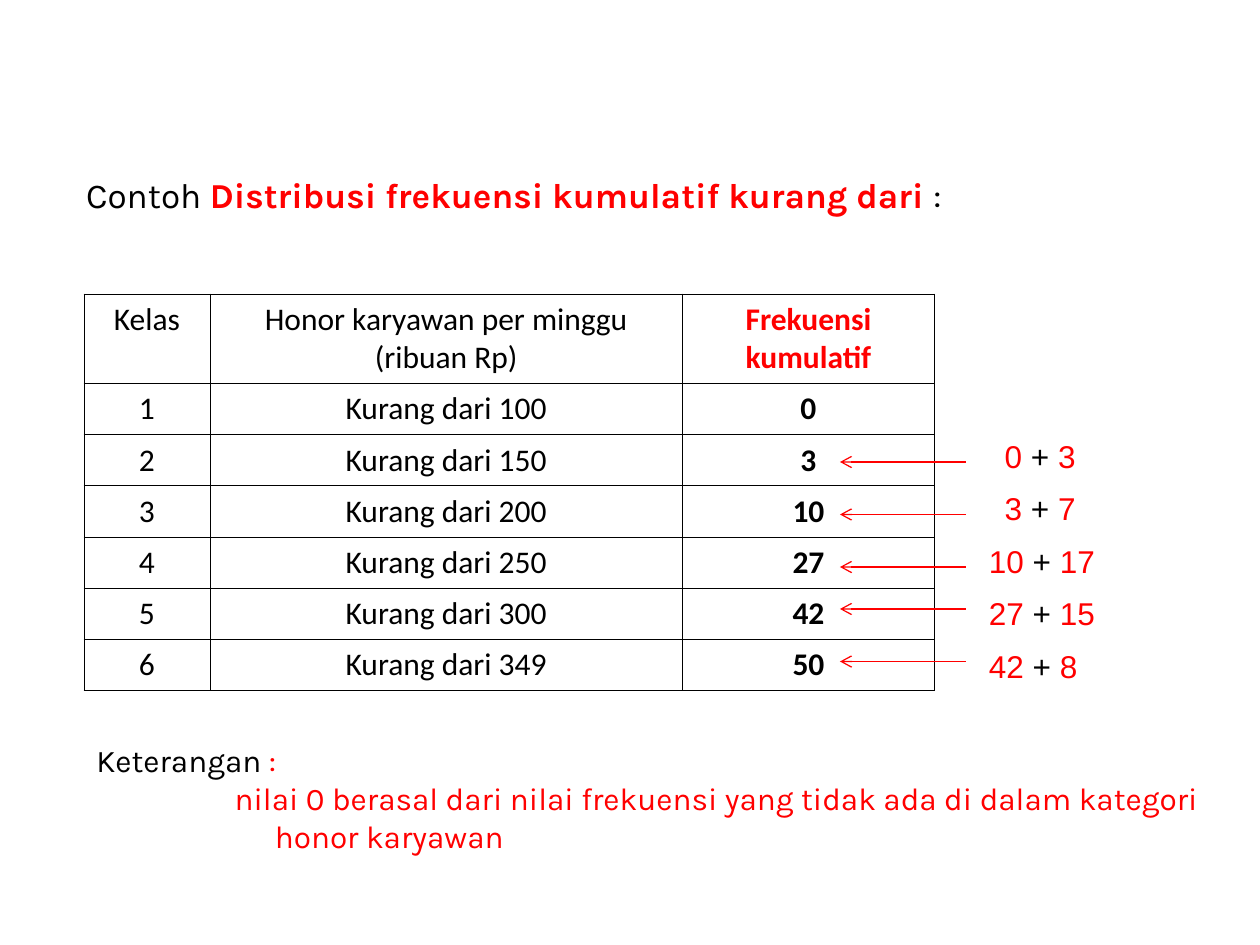
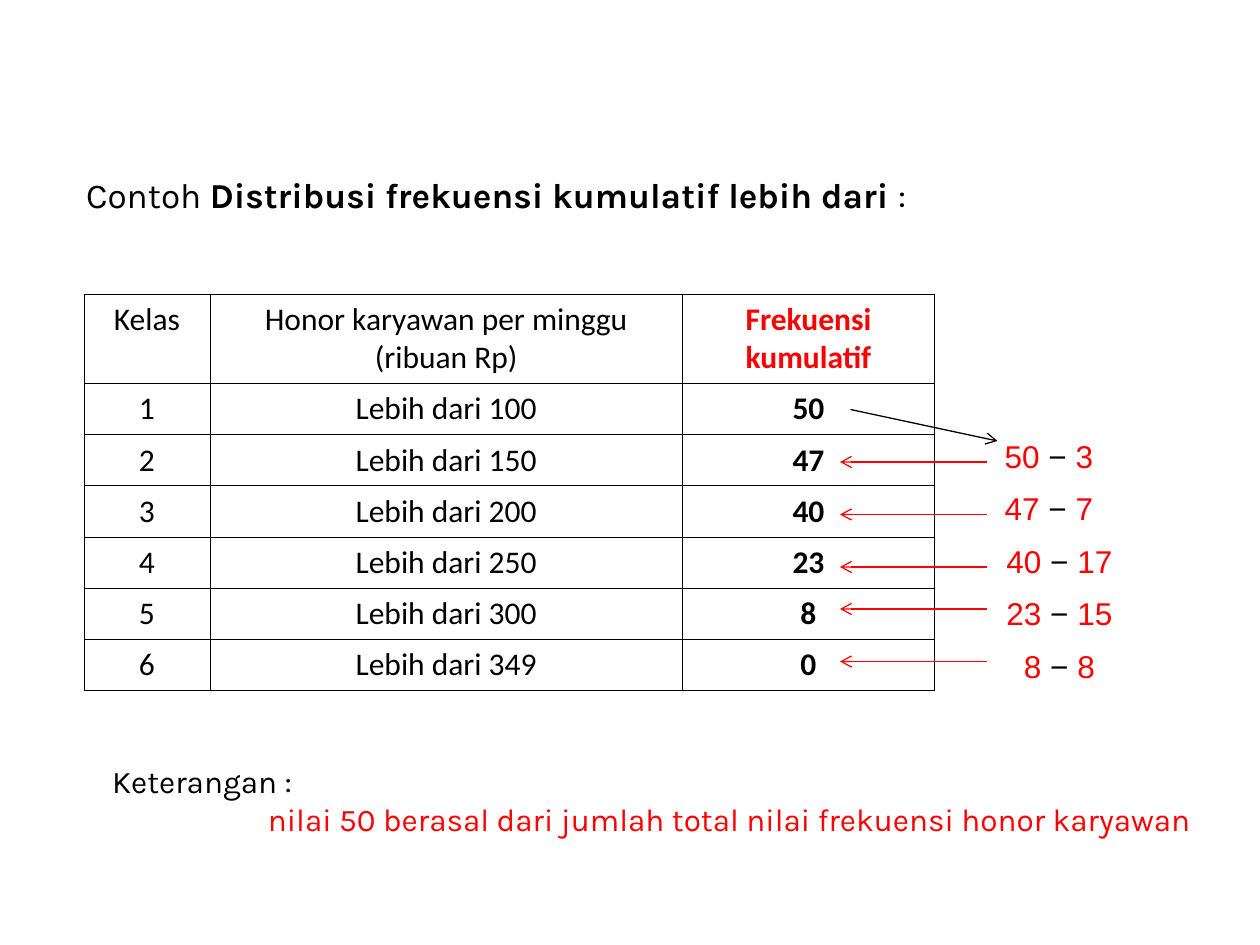
from lxml.etree import SubElement
from pptx import Presentation
from pptx.dml.color import RGBColor
from pptx.enum.shapes import MSO_CONNECTOR
from pptx.enum.text import MSO_ANCHOR, MSO_AUTO_SIZE, PP_ALIGN
from pptx.oxml.ns import qn
from pptx.util import Pt

COLORS = {"ink": "000000", "red": "FF0000"}
HEADS = ["Kelas", "Honor karyawan per minggu (ribuan Rp)", "Frekuensi kumulatif"]
LIMITS = [100, 150, 200, 250, 300, 349]
WIDTHS = [72, 270, 144]
HEAD_H, ROW_H = 51, 29.25
SUM_TOP, SUM_STEP = 246, 30
ARROW_Y = [264, 294, 324, 348, 378]
ARROW_TIP = 480


class Deck:
    """Holds the shared style and the current slide."""

    def __init__(self):
        self.prs = Presentation()
        self.prs.slide_width, self.prs.slide_height = Pt(720), Pt(540)
        self.slide = None

    def style(self, font, face, size, color="ink", bold=False):
        font.name, font.size, font.bold = face, Pt(size), bold
        font.color.rgb = RGBColor.from_string(COLORS[color])

    def fill_runs(self, para, runs, face, size):
        """Fill a paragraph with (text, color, bold) runs."""
        self.style(para.font, face, size)
        for text, color, bold in runs:
            run = para.add_run()
            run.text = text
            self.style(run.font, face, size, color, bold)

    def title(self, name, color):
        self.slide = self.prs.slides.add_slide(self.prs.slide_layouts[5])
        box = self.slide.shapes.title
        box.left, box.top, box.width, box.height = Pt(42), Pt(96), Pt(648), Pt(30)
        frame = box.text_frame
        frame.auto_size = MSO_AUTO_SIZE.NONE
        frame.vertical_anchor = MSO_ANCHOR.MIDDLE
        para = frame.paragraphs[0]
        para.alignment = PP_ALIGN.LEFT
        runs = [("Contoh ", "ink", False), (name + " ", color, True), (":", "ink", False)]
        self.fill_runs(para, runs, "Karla", 20)

    def text(self, left, top, width, height):
        box = self.slide.shapes.add_textbox(Pt(left), Pt(top), Pt(width), Pt(height))
        box.text_frame.word_wrap = True
        return box.text_frame

    def cell(self, cell, text, color="ink", bold=False):
        para = cell.text_frame.paragraphs[0]
        para.text = text
        para.alignment = PP_ALIGN.CENTER
        self.style(para.font, "Calibri", 18, color, bold)
        props = cell._tc.get_or_add_tcPr()
        for side in ("a:lnL", "a:lnR", "a:lnT", "a:lnB"):
            line = SubElement(props, qn(side), w=str(Pt(0.45)))
            fill = SubElement(line, qn("a:solidFill"))
            SubElement(fill, qn("a:srgbClr"), val=COLORS["ink"])
        cell.fill.background()

    def table(self, label, counts):
        rows = [[str(i), f"{label} {limit}", str(count)]
                for i, (limit, count) in enumerate(zip(LIMITS, counts), 1)]
        height = HEAD_H + ROW_H * len(rows)
        grid = self.slide.shapes.add_table(len(rows) + 1, len(HEADS), Pt(48), Pt(168),
                                           Pt(sum(WIDTHS)), Pt(height)).table
        grid.first_row = grid.horz_banding = False
        for col, width in zip(grid.columns, WIDTHS):
            col.width = Pt(width)
        for r, row in enumerate([HEADS] + rows):
            grid.rows[r].height = Pt(ROW_H if r else HEAD_H)
            for c, text in enumerate(row):
                last = c == len(HEADS) - 1
                color = "red" if last and r == 0 else "ink"
                self.cell(grid.cell(r, c), text, color, last)

    def arrow(self, start, end, color):
        link = self.slide.shapes.add_connector(
            MSO_CONNECTOR.STRAIGHT, *[Pt(v) for v in start + end])
        link.line.color.rgb = RGBColor.from_string(COLORS[color])
        link.line.width = Pt(0.75)
        props = link.element.spPr
        SubElement(props.find(qn("a:ln")), qn("a:tailEnd"), type="arrow")
        SubElement(props, qn("a:effectLst"))

    def sums(self, sign, terms, lefts, tail):
        """One sum beside each row from the second on, with an arrow to its cell."""
        for i, ((a, b), left, y) in enumerate(zip(terms, lefts, ARROW_Y)):
            self.arrow((tail, y), (ARROW_TIP, y), "red")
            frame = self.text(left, SUM_TOP + i * SUM_STEP, 114, 30)
            runs = [(str(a), "red", False), (f" {sign} ", "ink", False), (str(b), "red", False)]
            self.fill_runs(frame.paragraphs[0], runs, "Arial", 18)

    def note(self, top, runs, body, inset, margin, indent):
        frame = self.text(48, top, 654, 94)
        first, second = frame.paragraphs[0], frame.add_paragraph()
        self.fill_runs(first, runs, "Karla", 18)
        self.fill_runs(second, [(body, "red", False)], "Karla", 18)
        for para, left, hang in ((first, inset, 0), (second, margin, indent)):
            props = para._p.get_or_add_pPr()
            props.set("marL", str(Pt(left)))
            props.set("indent", str(Pt(hang)))


def main():
    deck = Deck()
    steps = [3, 7, 17, 15, 8]

    # Cumulative "less than"
    below = [0, 3, 10, 27, 42, 50]
    deck.title("Distribusi frekuensi kumulatif kurang dari", "red")
    deck.table("Kurang dari", below)
    deck.sums("+", zip(below, steps), [567, 567, 558, 558, 558], 552)
    deck.note(420, [("Keterangan", "ink", False), (" :", "red", False)],
              "nilai 0 berasal dari nilai frekuensi yang tidak ada di dalam kategori "
              "honor karyawan", 0, 102, -23)

    # Cumulative "more than"
    above = [50 - count for count in below]
    deck.title("Distribusi frekuensi kumulatif lebih dari", "ink")
    deck.table("Lebih dari", above)
    deck.sums("−", zip(above, steps), [567, 567, 568, 568, 578], 564)
    deck.arrow((486, 234), (570, 252), "ink")
    deck.note(432, [("Keterangan :", "ink", False)],
              "nilai 50 berasal dari jumlah total nilai frekuensi honor karyawan",
              9, 98, 0)

    deck.prs.save("out.pptx")


if __name__ == "__main__":
    main()
